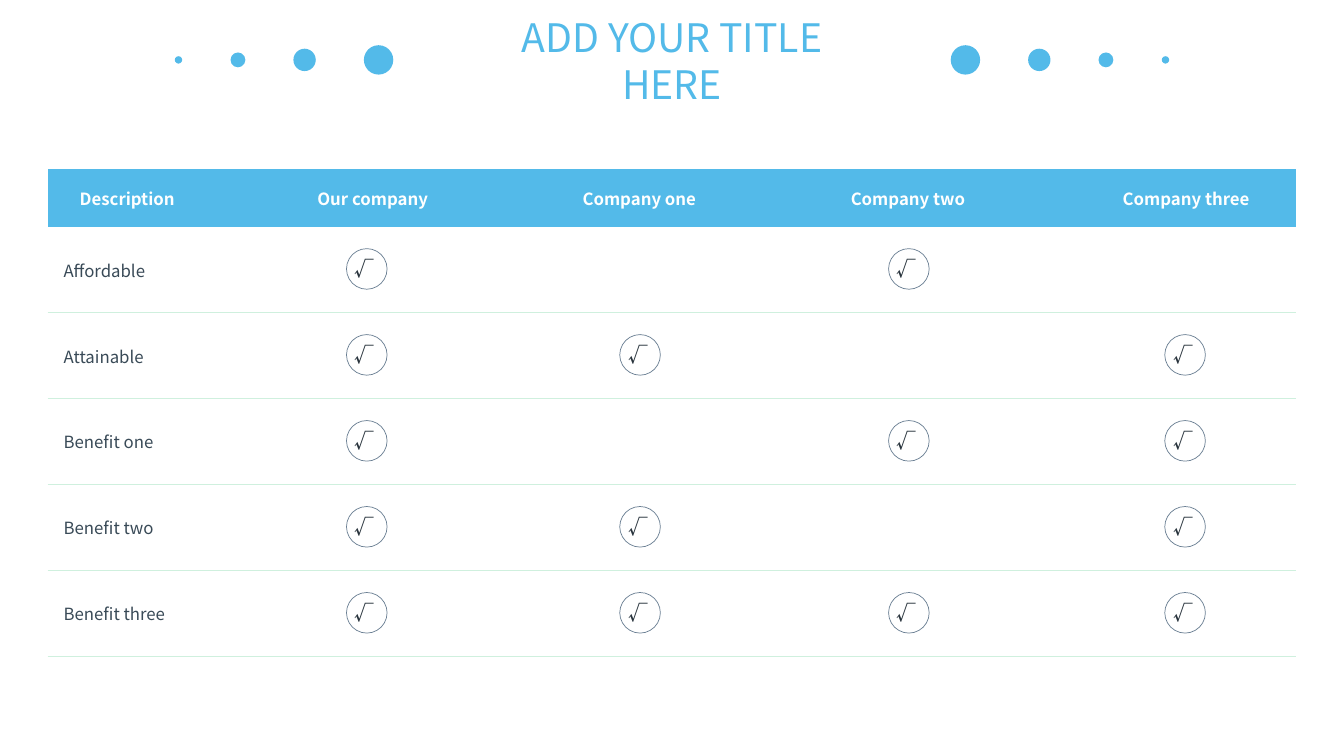
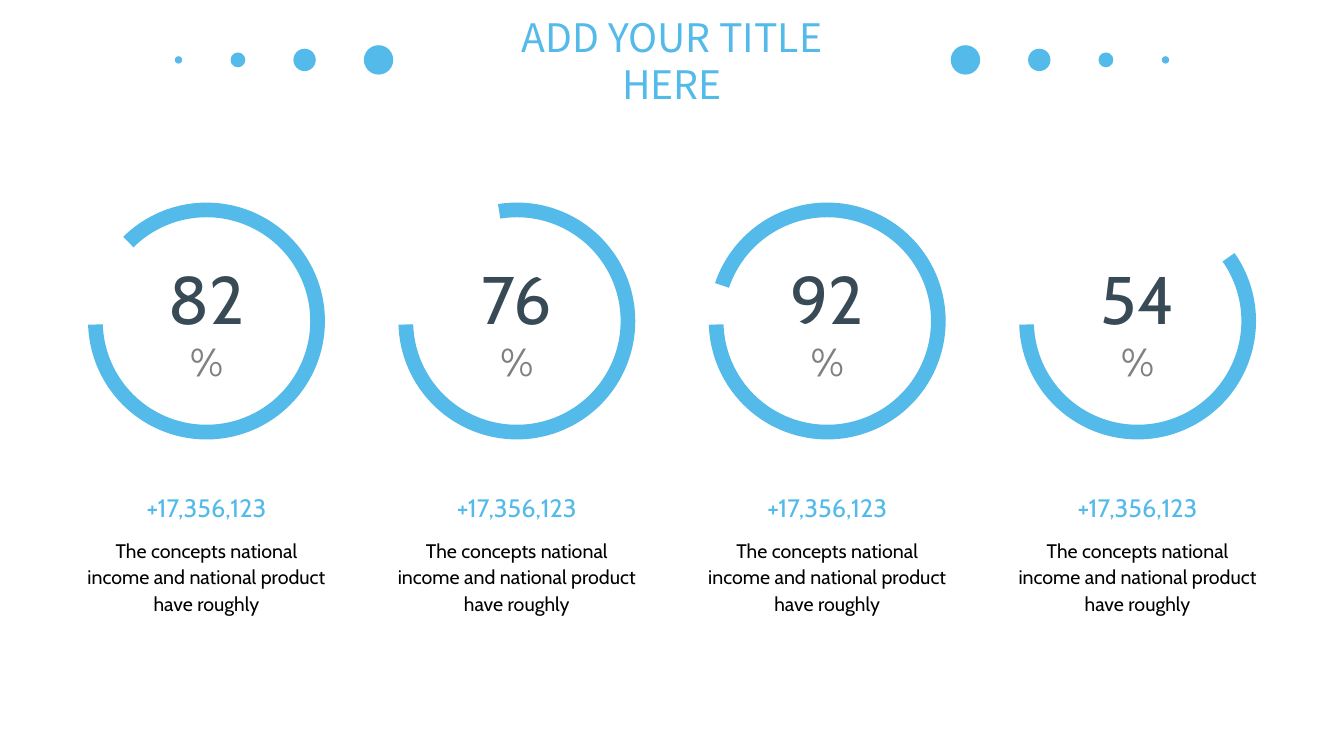
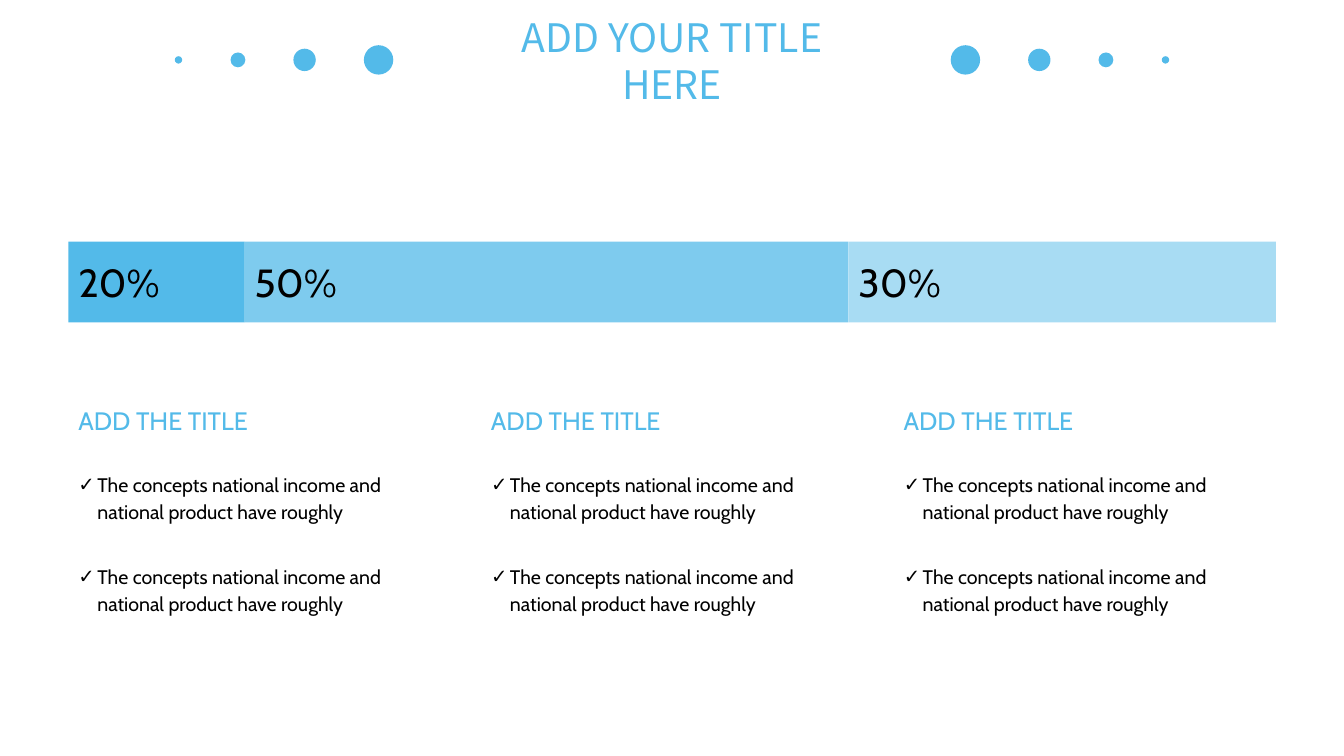
from pptx import Presentation
from pptx.dml.color import RGBColor
from pptx.enum.shapes import MSO_SHAPE
from pptx.enum.text import MSO_ANCHOR, MSO_AUTO_SIZE, PP_ALIGN
from pptx.oxml.ns import qn
from pptx.util import Pt
from lxml.etree import SubElement

COLORS = {
    "blue": "53BAE9",
    "white": "FFFFFF",
    "black": "000000",
    "slate": "394A57",
    "gray": "808080",
    "rule": "CFF0DE",
    "ring": "697E92",
    "check": "28333C",
}
SANS = "Noto Sans CJK SC"
CABIN = "Cabin"
MIDDLE_X, TITLE_Y = 480, 42.8
TITLE_ONLY, COMPARISON = 5, 4
NO_GRID_STYLE = "{2D5ABB26-0587-4C30-8999-92F81FD0307C}"
SENTENCE = "The concepts national income and national product have roughly"


def rgb(name):
    return RGBColor.from_string(COLORS[name])


def place(sp, x, y, w, h):
    sp.left, sp.top, sp.width, sp.height = Pt(x), Pt(y), Pt(w), Pt(h)


def add_run(p, text, size, color, font=CABIN, bold=False):
    r = p.add_run()
    r.text = text
    r.font.size = Pt(size)
    r.font.name = font
    r.font.bold = bold
    r.font.color.rgb = rgb(color)


def set_frame(tf, anchor=MSO_ANCHOR.TOP, wrap=True):
    tf.auto_size = MSO_AUTO_SIZE.NONE
    tf.word_wrap = wrap
    tf.vertical_anchor = anchor


def add_text(slide, x, y, w, h, align=PP_ALIGN.LEFT, anchor=MSO_ANCHOR.TOP):
    """Add an empty text box and return its first paragraph."""
    tf = slide.shapes.add_textbox(Pt(x), Pt(y), Pt(w), Pt(h)).text_frame
    set_frame(tf, anchor)
    p = tf.paragraphs[0]
    p.alignment = align
    return p


def add_shape(slide, kind, x, y, w, h, fill=None, alpha=None):
    sp = slide.shapes.add_shape(kind, Pt(x), Pt(y), Pt(w), Pt(h))
    sp.shadow.inherit = False
    sp.line.fill.background()
    if fill is None:
        sp.fill.background()
        return sp
    sp.fill.solid()
    sp.fill.fore_color.rgb = rgb(fill)
    if alpha:
        clr = sp._element.spPr.find(qn("a:solidFill"))[0]
        SubElement(clr, qn("a:alpha"), val=str(alpha * 1000))
    return sp


def add_title_slide(prs, layout):
    """Add a slide with the title between two mirrored rows of dots."""
    slide = prs.slides.add_slide(prs.slide_layouts[layout])
    for side in (-1, 1):
        for offset, d in ((209.6, 21), (262.4, 16), (310, 10.6), (352.5, 5.3)):
            add_shape(slide, MSO_SHAPE.OVAL, MIDDLE_X + side * offset - d / 2,
                      TITLE_Y - d / 2, d, d, "blue")
    title = slide.shapes.title
    place(title, MIDDLE_X - 150.5, TITLE_Y - 20.5, 301, 41)
    set_frame(title.text_frame, MSO_ANCHOR.MIDDLE)
    p = title.text_frame.paragraphs[0]
    p.alignment = PP_ALIGN.CENTER
    p.line_spacing = 1.0
    add_run(p, "ADD YOUR TITLE HERE", 28, "blue", SANS)
    return slide


def set_bottom_border(cell, color):
    ln = SubElement(cell._tc.get_or_add_tcPr(), qn("a:lnB"), w=str(Pt(0.5)))
    fill = SubElement(ln, qn("a:solidFill"))
    SubElement(fill, qn("a:srgbClr"), val=COLORS[color])


def fill_cell(cell, text, color, bold, align):
    cell.vertical_anchor = MSO_ANCHOR.MIDDLE
    cell.margin_left = Pt(11.5) if align == PP_ALIGN.LEFT else 0
    cell.margin_right = 0
    p = cell.text_frame.paragraphs[0]
    p.alignment = align
    if text:
        add_run(p, text, 12, color, SANS, bold)


def add_check(slide, x, y):
    d = 29
    sp = add_shape(slide, MSO_SHAPE.OVAL, x - d / 2, y - d / 2, d, d)
    sp.line.color.rgb = rgb("ring")
    sp.line.width = Pt(0.5)
    tf = sp.text_frame
    set_frame(tf, MSO_ANCHOR.MIDDLE, wrap=False)
    tf.margin_left = tf.margin_top = tf.margin_bottom = 0
    tf.margin_right = Pt(3)
    p = tf.paragraphs[0]
    p.alignment = PP_ALIGN.CENTER
    add_run(p, "√", 14, "check", SANS, True)


def add_comparison(slide):
    left, top, head_h, row_h = 34, 121, 41, 61.4
    columns = (("Description", 113.8), ("Our company", 236.9), ("Company one", 144),
               ("Company two", 239.8), ("Company three", 157.5))
    check_centers = (262, 457.2, 649.2, 846.5)
    rows = (("Affordable", (1, 0, 1, 0)), ("Attainable", (1, 1, 0, 1)),
            ("Benefit one", (1, 0, 1, 1)), ("Benefit two", (1, 1, 0, 1)),
            ("Benefit three", (1, 1, 1, 1)))
    width = sum(w for _, w in columns)
    table = slide.shapes.add_table(len(rows) + 1, len(columns), Pt(left), Pt(top), Pt(width),
                                   Pt(head_h + row_h * len(rows))).table
    table.horz_banding = False
    table._tbl.tblPr[0].text = NO_GRID_STYLE
    table.rows[0].height = Pt(head_h)
    for c, (name, w) in enumerate(columns):
        table.columns[c].width = Pt(w)
        cell = table.cell(0, c)
        fill_cell(cell, name, "white", True, PP_ALIGN.CENTER)
        cell.fill.solid()
        cell.fill.fore_color.rgb = rgb("blue")
    for i, (label, checks) in enumerate(rows):
        table.rows[i + 1].height = Pt(row_h)
        for c in range(len(columns)):
            cell = table.cell(i + 1, c)
            fill_cell(cell, "" if c else label, "slate", False, PP_ALIGN.LEFT)
            set_bottom_border(cell, "rule")
            cell.fill.background()
        for x, checked in zip(check_centers, checks):
            if checked:
                add_check(slide, x, top + head_h + row_h * (i + 0.5) - 0.6)


def add_gauge(slide, x, value, start):
    """Add a ring around x that runs clockwise from start degrees, with its texts."""
    d = 169.2
    arc = add_shape(slide, MSO_SHAPE.BLOCK_ARC, x - d / 2, 144.7, d, d, "blue")
    for i, adj in enumerate((start * 0.6, 178.2 * 0.6, 0.062)):
        arc.adjustments[i] = adj
    p = add_text(slide, x - 43, 196.5, 86, 65.5, PP_ALIGN.CENTER, MSO_ANCHOR.MIDDLE)
    add_run(p, value, 48, "slate")
    p.add_line_break()
    add_run(p, "%", 28, "gray")
    p = add_text(slide, x - 61, 347.8, 122, 28.8, PP_ALIGN.CENTER)
    add_run(p, "+17,356,123", 18, "blue")
    p = add_text(slide, x - 93.6, 378.7, 187.2, 65.5, PP_ALIGN.CENTER)
    p.line_spacing = 1.14
    add_run(p, SENTENCE, 14, "black")


def add_share_bar(slide, left):
    x = left
    for text, w, alpha in (("20%", 126, None), ("50%", 431.3, 75), ("30%", 305.2, 50)):
        sp = add_shape(slide, MSO_SHAPE.RECTANGLE, x, 172.7, w, 57.6, "blue", alpha)
        set_frame(sp.text_frame, MSO_ANCHOR.MIDDLE)
        p = sp.text_frame.paragraphs[0]
        p.alignment = PP_ALIGN.LEFT
        add_run(p, text, 28, "black")
        x += w


def fill_check_list(sp, items):
    set_frame(sp.text_frame)
    for i, text in enumerate(items):
        p = sp.text_frame.add_paragraph() if i else sp.text_frame.paragraphs[0]
        pPr = p._p.get_or_add_pPr()
        pPr.set("marL", str(Pt(13.5)))
        pPr.set("indent", str(-Pt(13.5)))
        SubElement(pPr, qn("a:buChar"), char="✓")
        p.alignment = PP_ALIGN.LEFT
        p.line_spacing = 1.14
        p.space_before = Pt(27.4 if i else 0)
        add_run(p, text, 14, "black")


def add_list_columns(slide, left):
    bodies = [sp for sp in slide.placeholders if sp != slide.shapes.title]
    for i, body in enumerate(bodies[:3]):
        x = left + 294.8 * i
        p = add_text(slide, x, 285.8, 151, 28.8)
        add_run(p, "ADD THE TITLE", 18, "blue")
        place(body, x, 331.9, 272.9, 111.6)
        fill_check_list(body, [SENTENCE] * 2)
    for body in bodies[3:]:
        body._element.getparent().remove(body._element)


def main():
    prs = Presentation()
    prs.slide_width, prs.slide_height = Pt(960), Pt(540)

    add_comparison(add_title_slide(prs, TITLE_ONLY))

    slide = add_title_slide(prs, TITLE_ONLY)
    gauges = (("82", 225.3), ("76", 260.85), ("92", 198.7), ("54", 324.98))
    for i, (value, start) in enumerate(gauges):
        add_gauge(slide, 147.5 + 221.7 * i, value, start)

    slide = add_title_slide(prs, COMPARISON)
    add_share_bar(slide, 48.8)
    add_list_columns(slide, 48.8)

    prs.save("out.pptx")


if __name__ == "__main__":
    main()
